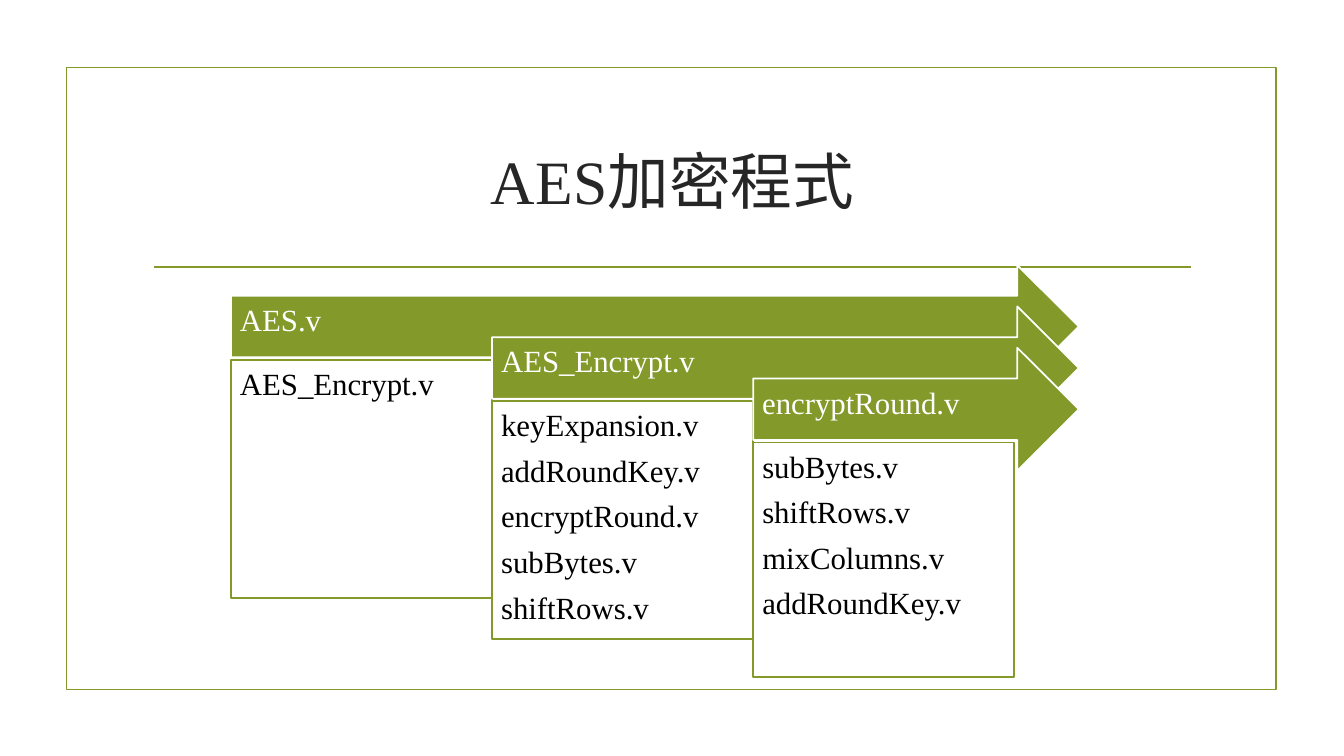
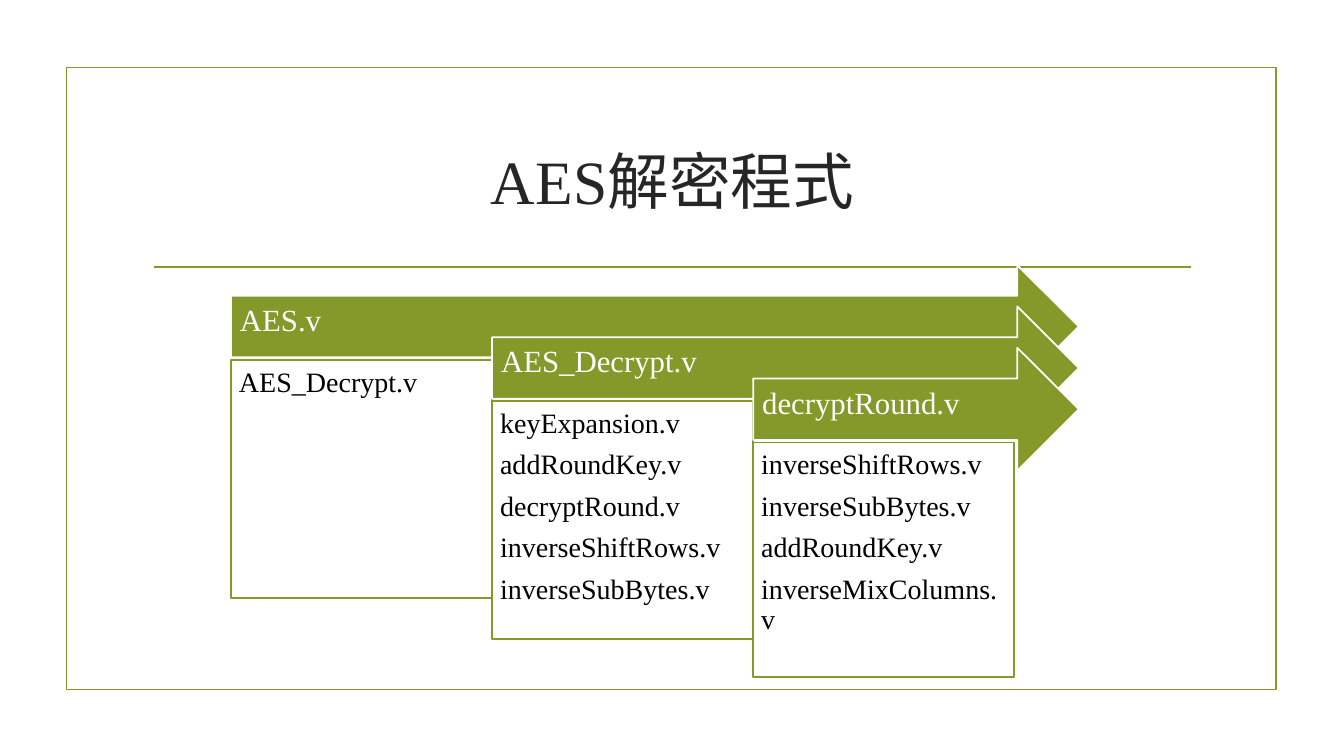
from pptx import Presentation
from pptx.dml.color import RGBColor
from pptx.enum.shapes import MSO_CONNECTOR, MSO_SHAPE
from pptx.enum.text import MSO_ANCHOR, MSO_AUTO_SIZE, PP_ALIGN
from pptx.oxml.ns import qn
from pptx.util import Inches, Pt
from lxml import etree

RECTANGLE = MSO_SHAPE.RECTANGLE
RIGHT_ARROW = MSO_SHAPE.RIGHT_ARROW
STRAIGHT = MSO_CONNECTOR.STRAIGHT
TOP, MIDDLE = MSO_ANCHOR.TOP, MSO_ANCHOR.MIDDLE
LEFT, CENTER = PP_ALIGN.LEFT, PP_ALIGN.CENTER
NO_FIT = MSO_AUTO_SIZE.NONE

GREEN = RGBColor(0x83, 0x99, 0x2A)
WHITE = RGBColor(0xFF, 0xFF, 0xFF)
BLACK = RGBColor(0x00, 0x00, 0x00)
CHARCOAL = RGBColor(0x26, 0x26, 0x26)
FONT = "Times New Roman"
LINE_WIDTH = Pt(1.25)
ARROW_TEXT_SIZE = 22

FRAME = (0.66, 0.67, 12, 6.17)
TITLE_BOX = (1.42, 1.07, 10.5, 1.43)
CASCADE = (2.29, 2.63, 8.41, 4.09)
COLUMN_WIDTH, STEP_DOWN = 2.59, 0.41
ARROW_HEIGHT, LIST_OFFSET, LIST_HEIGHT = 1.22, 0.94, 2.36

SLIDES = [
    ("AES加密程式", 22, 0.09, [
        ("AES.v", ["AES_Encrypt.v"]),
        ("AES_Encrypt.v", ["keyExpansion.v", "addRoundKey.v", "encryptRound.v",
                           "subBytes.v", "shiftRows.v"]),
        ("encryptRound.v", ["subBytes.v", "shiftRows.v", "mixColumns.v",
                            "addRoundKey.v"]),
    ]),
    ("AES解密程式", 20, 0.08, [
        ("AES.v", ["AES_Decrypt.v"]),
        ("AES_Decrypt.v", ["keyExpansion.v", "addRoundKey.v", "decryptRound.v",
                           "inverseShiftRows.v", "inverseSubBytes.v"]),
        ("decryptRound.v", ["inverseShiftRows.v", "inverseSubBytes.v",
                            "addRoundKey.v", "inverseMixColumns.v"]),
    ]),
]


def apply(target, values):
    for name, value in values.items():
        setattr(target, name, value)


def inches(box):
    return [Inches(value) for value in box]


def add_box(slide, kind, box, fill, line):
    shape = slide.shapes.add_shape(kind, *inches(box))
    shape.shadow.inherit = False
    if fill is None:
        shape.fill.background()
    else:
        shape.fill.solid()
        shape.fill.fore_color.rgb = fill
    shape.line.color.rgb = line
    shape.line.width = LINE_WIDTH
    return shape


def write_lines(shape, lines, size, color, anchor, insets):
    left, top, right, bottom = inches(insets)
    frame = shape.text_frame
    apply(frame, {"word_wrap": True, "vertical_anchor": anchor,
                  "margin_left": left, "margin_top": top,
                  "margin_right": right, "margin_bottom": bottom})
    for index, line in enumerate(lines):
        paragraph = frame.paragraphs[0] if index == 0 else frame.add_paragraph()
        paragraph.text = line
        apply(paragraph, {"alignment": LEFT, "line_spacing": 0.9,
                          "space_after": Pt(0.4 * size)})
        apply(paragraph.font, {"name": FONT, "size": Pt(size)})
        paragraph.font.color.rgb = color


def add_frame(slide, box):
    left, top, width, height = box
    add_box(slide, RECTANGLE, box, None, GREEN)
    rule_y = top + 1.98
    rule = slide.shapes.add_connector(
        STRAIGHT, *inches((left + 0.87, rule_y, left + width - 0.85, rule_y)))
    rule.line.color.rgb = GREEN
    rule.line.width = LINE_WIDTH
    etree.SubElement(rule._element.spPr, qn("a:effectLst"))


def set_title(slide, text, box):
    title = slide.shapes.title
    left, top, width, height = inches(box)
    apply(title, {"left": left, "top": top, "width": width, "height": height})
    apply(title.text_frame, {"text": text, "word_wrap": True,
                             "auto_size": NO_FIT, "vertical_anchor": MIDDLE})
    paragraph = title.text_frame.paragraphs[0]
    paragraph.alignment = CENTER
    apply(paragraph.font, {"name": FONT, "size": Pt(44)})
    paragraph.font.color.rgb = CHARCOAL


def add_cascade(slide, modules, list_size, list_inset, box):
    left, top, width, height = box
    for index, (module, files) in enumerate(modules):
        shift = index * COLUMN_WIDTH
        arrow_top = top + index * STEP_DOWN
        arrow = add_box(slide, RIGHT_ARROW,
                        (left + shift, arrow_top, width - shift, ARROW_HEIGHT),
                        GREEN, WHITE)
        write_lines(arrow, [module], ARROW_TEXT_SIZE, WHITE, MIDDLE,
                    (0.09, 0.09, 0.28, 0.19))
        list_top = arrow_top + LIST_OFFSET
        list_height = min(LIST_HEIGHT, top + height - list_top)
        file_list = add_box(slide, RECTANGLE,
                            (left + shift, list_top, COLUMN_WIDTH, list_height),
                            WHITE, GREEN)
        write_lines(file_list, files, list_size, BLACK, TOP, [list_inset] * 4)


def build_slide(presentation, title, list_size, list_inset, modules):
    slide = presentation.slides.add_slide(presentation.slide_layouts[5])
    add_frame(slide, FRAME)
    set_title(slide, title, TITLE_BOX)
    add_cascade(slide, modules, list_size, list_inset, CASCADE)


def main():
    presentation = Presentation()
    presentation.slide_width = Inches(13.33)
    presentation.slide_height = Inches(7.5)
    for content in SLIDES:
        build_slide(presentation, *content)
    presentation.save("out.pptx")


if __name__ == "__main__":
    main()
